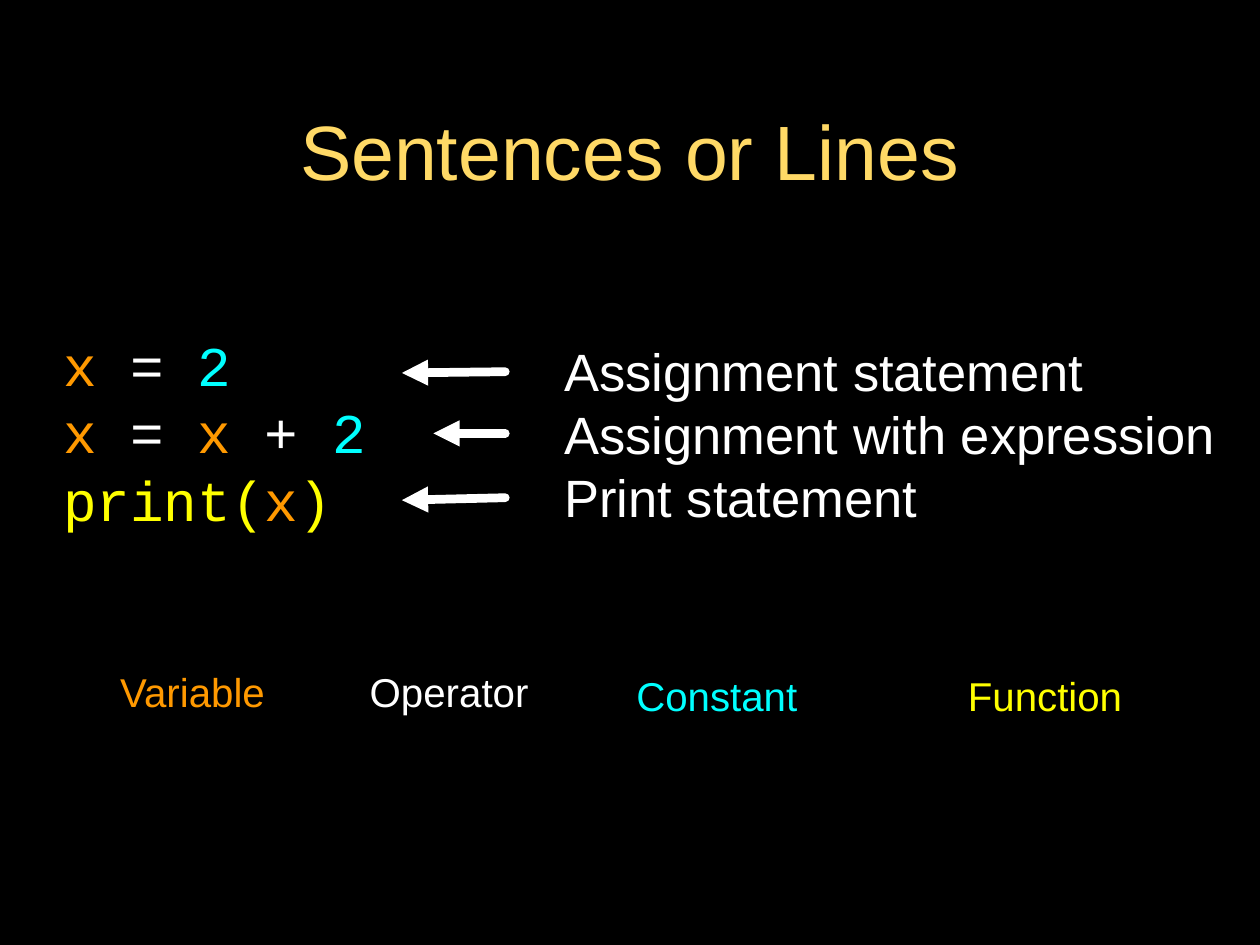
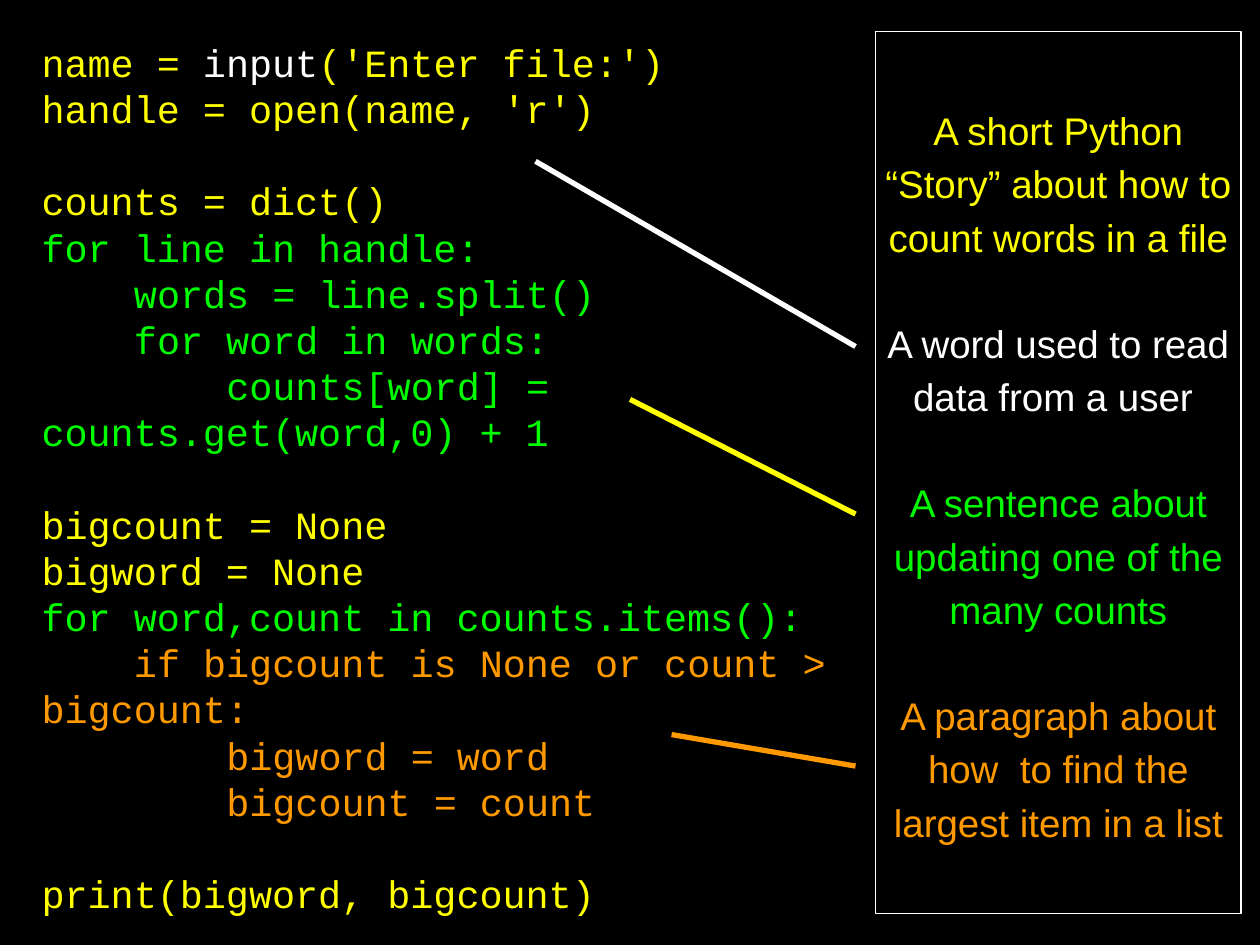
from pptx import Presentation
from pptx.dml.color import RGBColor
from pptx.enum.shapes import MSO_CONNECTOR as Link, MSO_SHAPE as Shape
from pptx.enum.text import MSO_ANCHOR as Anchor, PP_ALIGN as Align
from pptx.oxml.ns import qn
from pptx.util import Inches, Pt
from lxml.etree import SubElement

HUES = {
    "black": "000000", "white": "FFFFFF", "gold": "FFD966", "orange": "FF9900",
    "cyan": "00FFFF", "yellow": "FFFF00", "green": "00FF00", "leaf": "00FA00",
}
SANS, MONO = "Arial", "Courier New"
LEAD = 1.2       # line pitch as a share of the text size
CHAR = 0.6       # width of one monospaced letter as a share of the text size
STEP = 4         # letters in one level of code indent

# A line of text is (runs, level of indent, gap above in lines);
# a run is (text, colour).
TITLE = "Sentences or Lines"
LINES = [
    ([("x ", "orange"), ("= ", "white"), ("2", "cyan")], 0, 0),
    ([("x ", "orange"), ("= ", "white"), ("x ", "orange"), ("+ ", "white"),
      ("2", "cyan")], 0, 0),
    ([("print(", "yellow"), ("x", "orange"), (")", "yellow")], 0, 0),
]
KINDS = [
    ([(text, "white")], 0, 0)
    for text in ("Assignment statement", "Assignment with expression", "Print statement")
]
LEGEND = [  # text, colour, left, top, width
    ("Variable", "orange", 0.81, 5.27, 1.44),
    ("Operator", "white", 2.89, 5.27, 1.35),
    ("Constant", "cyan", 4.97, 5.3, 1.44),
    ("Function", "yellow", 7.22, 5.3, 2.15),
]
ARROWS = [  # tip, tail
    ((3.19, 2.96), (4.01, 2.95)),
    ((3.44, 3.44), (4.01, 3.44)),
    ((3.19, 3.97), (4.01, 3.95)),
]

CODE = [
    ([("name = ", "yellow"), ("input", "white"), ("('Enter file:')", "yellow")], 0, 0),
    ([("handle = open(name, 'r')", "yellow")], 0, 0),
    ([("counts = dict()", "yellow")], 0, 1),
    ([("for line in handle:", "green")], 0, 0),
    ([("words = line.split()", "green")], 1, 0),
    ([("for word in words:", "green")], 1, 0),
    ([("counts[word] = counts.get(word,0) + 1", "green")], 2, 0),
    ([("bigcount = None", "yellow")], 0, 1),
    ([("bigword = None", "yellow")], 0, 0),
    ([("for word,count in counts.items():", "green")], 0, 0),
    ([("if bigcount is None or count > bigcount:", "orange")], 1, 0),
    ([("bigword = word", "orange")], 2, 0),
    ([("bigcount = count", "orange")], 2, 0),
    ([("print(bigword, bigcount)", "yellow")], 0, 1),
]
STORY = [
    ([("A short Python “Story” about how to count words in a file", "yellow")], 0, 0),
    ([("A word used to read data from a user ", "white")], 0, 1),
    ([("A sentence about updating one of the many counts", "leaf")], 0, 1),
    ([("A paragraph about how  to find the largest item in a list", "orange")], 0, 1),
]
LINKS = [  # from, to, colour
    ((4.25, 1.28), (6.79, 2.75), "white"),
    ((5, 3.17), (6.79, 4.08), "yellow"),
    ((5.33, 5.83), (6.79, 6.08), "orange"),
]


def hue(name):
    return RGBColor.from_string(HUES[name])


def write(shape, lines, size, font, align=Align.LEFT, lead=LEAD, inset=0):
    frame = shape.text_frame
    frame.word_wrap = True
    frame.vertical_anchor = Anchor.MIDDLE
    frame.margin_left = frame.margin_right = Inches(inset)
    frame.margin_top = frame.margin_bottom = Inches(inset)
    pitch = round(size * lead, 1)
    for i, (runs, level, gap) in enumerate(lines):
        para = frame.add_paragraph() if i else frame.paragraphs[0]
        para.alignment = align
        para.line_spacing = Pt(pitch)
        para.space_before = Pt(gap * pitch)
        if level:
            indent = Pt(level * STEP * CHAR * size)
            para._p.get_or_add_pPr().set("indent", str(indent))
        for text, tint in runs:
            run = para.add_run()
            run.text = text
            run.font.size = Pt(size)
            run.font.name = font
            run.font.color.rgb = hue(tint)


def box(slide, spot, *args, **style):
    write(slide.shapes.add_textbox(*map(Inches, spot)), *args, **style)


def draw(slide, start, end, tint, width, arrow=False):
    line = slide.shapes.add_connector(Link.STRAIGHT, *map(Inches, start + end))
    line.line.color.rgb = hue(tint)
    line.line.width = Pt(width)
    if arrow:
        ln = line.line._get_or_add_ln()
        ln.set("cap", "rnd")
        SubElement(ln, qn("a:headEnd"), type="triangle")
    SubElement(line._element.spPr, qn("a:effectLst"))


def show_lines(deck):
    slide = deck.slides.add_slide(deck.slide_layouts[5])
    title = slide.shapes.title
    title.left, title.top, title.width, title.height = map(Inches, (0.5, 0.63, 9, 1.12))
    write(title, [([(TITLE, "gold")], 0, 0)], 44, SANS, Align.CENTER, inset=0.02)
    box(slide, (0.5, 1.75, 2.92, 3.35), LINES, 32, MONO)
    for text, tint, left, top, width in LEGEND:
        box(slide, (left, top, width, 0.44), [([(text, tint)], 0, 0)],
            23, SANS, Align.CENTER)
    box(slide, (4.48, 2.2, 5.46, 2.48), KINDS, 30, SANS)
    for tip, tail in ARROWS:
        draw(slide, tip, tail, "white", 5, arrow=True)


def show_story(deck):
    slide = deck.slides.add_slide(deck.slide_layouts[6])
    box(slide, (0.33, 0.25, 6.45, 7.08), CODE, 22, MONO)
    panel = slide.shapes.add_shape(Shape.RECTANGLE, *map(Inches, (6.95, 0.25, 2.9, 7)))
    panel.shadow.inherit = False
    panel.fill.background()
    panel.line.color.rgb = hue("white")
    panel.line.width = Pt(0.75)
    write(panel, STORY, 22, SANS, Align.CENTER, lead=1.38)
    for start, end, tint in LINKS:
        draw(slide, start, end, tint, 3)


def main():
    deck = Presentation()
    deck.slide_width, deck.slide_height = Inches(10), Inches(7.5)
    back = deck.slide_master.background.fill
    back.solid()
    back.fore_color.rgb = hue("black")
    show_lines(deck)
    show_story(deck)
    deck.save("out.pptx")


if __name__ == "__main__":
    main()
